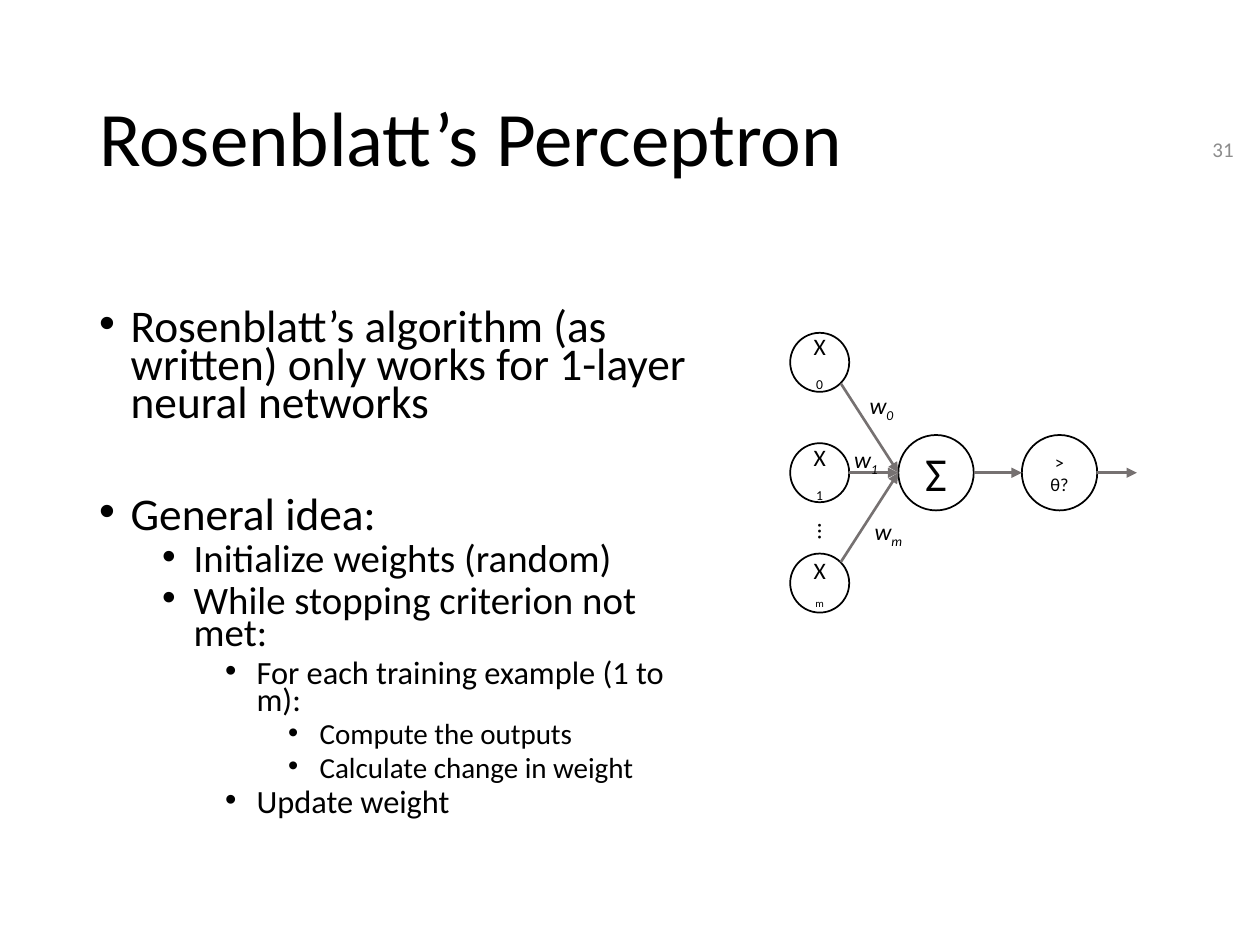
from lxml.etree import SubElement
from pptx import Presentation
from pptx.dml.color import RGBColor
from pptx.enum.shapes import MSO_CONNECTOR as Connector, MSO_SHAPE as Preset
from pptx.enum.text import MSO_ANCHOR as Anchor, PP_ALIGN as Align
from pptx.oxml.ns import qn
from pptx.util import Cm, Pt

BLACK = RGBColor(0x00, 0x00, 0x00)
WHITE = RGBColor(0xFF, 0xFF, 0xFF)
ARROW_GRAY = RGBColor(0x76, 0x71, 0x71)
NUMBER_GRAY = RGBColor(0x8C, 0x8C, 0x8C)

OUTLINE = [
    (0, 25.9, 0, "Rosenblatt’s algorithm (as written) only works for 1-layer neural networks"),
    (0, 25.9, 42, "General idea:"),
    (1, 22.2, 5, "Initialize weights (random)"),
    (1, 22.2, 5, "While stopping criterion not met:"),
    (2, 18.5, 5, "For each training example (1 to m):"),
    (3, 16.6, 5, "Compute the outputs"),
    (3, 16.6, 5, "Calculate change in weight"),
    (2, 18.5, 5, "Update weight"),
]
INDICES = [("0", 13.5), ("1", 13.5), ("m", 10.5)]
WEIGHT_SPOTS = [(1.35, 1.04), (1.04, 2.13), (1.45, 3.58)]


def set_attributes(target, values):
    for name, value in values.items():
        setattr(target, name, value)


def add_run(paragraph, text, size, color=BLACK, italic=False, subscript=False):
    run = paragraph.add_run()
    run.text = text
    set_attributes(run.font, {"name": "Calibri", "size": Pt(size), "italic": italic})
    run.font.color.rgb = color
    if subscript:
        run.font._element.set("baseline", "-25000")


def add_text_box(shapes, left, top, width, height, anchor=Anchor.TOP):
    box = shapes.add_textbox(Cm(left), Cm(top), Cm(width), Cm(height))
    set_attributes(box.text_frame, {"word_wrap": True, "vertical_anchor": anchor})
    return box


def add_title(slide, left, top, width, height):
    box = add_text_box(slide.shapes, left, top, width, height, Anchor.MIDDLE)
    paragraph = box.text_frame.paragraphs[0]
    paragraph.line_spacing = 0.9
    add_run(paragraph, "Rosenblatt’s Perceptron", 44)


def add_page_number(slide, left, top, width, height):
    box = add_text_box(slide.shapes, left, top, width, height, Anchor.MIDDLE)
    paragraph = box.text_frame.paragraphs[0]
    paragraph.alignment = Align.RIGHT
    add_run(paragraph, "31", 12, NUMBER_GRAY)


def add_bullet(paragraph, level):
    properties = paragraph._p.get_or_add_pPr()
    properties.set("marL", str(Cm(0.635 + 1.27 * level)))
    properties.set("indent", str(-Cm(0.635)))
    SubElement(properties, qn("a:buFont")).set("typeface", "Arial")
    SubElement(properties, qn("a:buChar")).set("char", "•")


def add_outline(slide, left, top, width, height):
    frame = add_text_box(slide.shapes, left, top, width, height).text_frame
    for position, (level, size, space, text) in enumerate(OUTLINE):
        paragraph = frame.add_paragraph() if position else frame.paragraphs[0]
        set_attributes(paragraph, {"level": level, "line_spacing": 0.7, "space_before": Pt(space)})
        add_bullet(paragraph, level)
        add_run(paragraph, text, size)


def add_neuron(shapes, left, top, diameter, text, size):
    neuron = shapes.add_shape(Preset.OVAL, Cm(left), Cm(top), Cm(diameter), Cm(diameter))
    neuron.shadow.inherit = False
    neuron.fill.solid()
    neuron.fill.fore_color.rgb = WHITE
    neuron.line.color.rgb = BLACK
    neuron.line.width = Pt(1)
    neuron.text_frame.vertical_anchor = Anchor.MIDDLE
    paragraph = neuron.text_frame.paragraphs[0]
    paragraph.alignment = Align.CENTER
    add_run(paragraph, text, size)
    return paragraph


def add_arrow(shapes, start_x, start_y, end_x, end_y):
    arrow = shapes.add_connector(
        Connector.STRAIGHT, Cm(start_x), Cm(start_y), Cm(end_x), Cm(end_y))
    arrow.line.color.rgb = ARROW_GRAY
    arrow.line.width = Pt(1.5)
    SubElement(arrow.line._get_or_add_ln(), qn("a:tailEnd")).set("type", "triangle")
    SubElement(arrow._element.spPr, qn("a:effectLst"))


def add_perceptron(slide, left, top, width, height):
    shapes = slide.shapes.add_group_shape().shapes
    input_size, unit_size = 1.19, 1.52
    sum_left, threshold_left = left + 2.18, left + 4.67
    middle = top + height / 2
    pitch = (height - input_size) / 2
    unit_top = middle - unit_size / 2

    add_neuron(shapes, sum_left, unit_top, unit_size, "Σ", 27)
    for row, (index, size) in enumerate(INDICES):
        paragraph = add_neuron(shapes, left, top + row * pitch, input_size, "X", 13.5)
        add_run(paragraph, index, size, subscript=True)
    add_neuron(shapes, threshold_left, unit_top, unit_size, "> θ?", 10.5)

    add_arrow(shapes, left + 1.02, top + 1.02, sum_left, middle)
    add_arrow(shapes, left + 1.02, top + height - 1.02, sum_left, middle)
    for start, end in [(left + input_size, sum_left),
                       (sum_left + unit_size, threshold_left),
                       (threshold_left + unit_size, left + width)]:
        add_arrow(shapes, start, middle, end, middle)

    for (index, _), (x, y) in zip(INDICES, WEIGHT_SPOTS):
        label = add_text_box(shapes, left + x, top + y, 1.75, 0.84)
        paragraph = label.text_frame.paragraphs[0]
        add_run(paragraph, "w", 13.5, italic=True)
        add_run(paragraph, index, 13.5, italic=True, subscript=True)

    dots = add_text_box(shapes, left + 0.48, top + 3.43, 0.53, 0.84)
    dots.rotation = 90
    add_run(dots.text_frame.paragraphs[0], "…", 13.5)


def main():
    presentation = Presentation()
    set_attributes(presentation, {"slide_width": Cm(25.4), "slide_height": Cm(19.05)})
    slide = presentation.slides.add_slide(presentation.slide_layouts[6])
    add_title(slide, 1.75, 1.02, 21.9, 3.68)
    add_outline(slide, 1.75, 6.17, 12.85, 11.02)
    add_page_number(slide, 19.41, 2.62, 5.71, 0.76)
    add_perceptron(slide, 15.93, 6.71, 6.99, 5.64)
    presentation.save("out.pptx")


if __name__ == "__main__":
    main()
